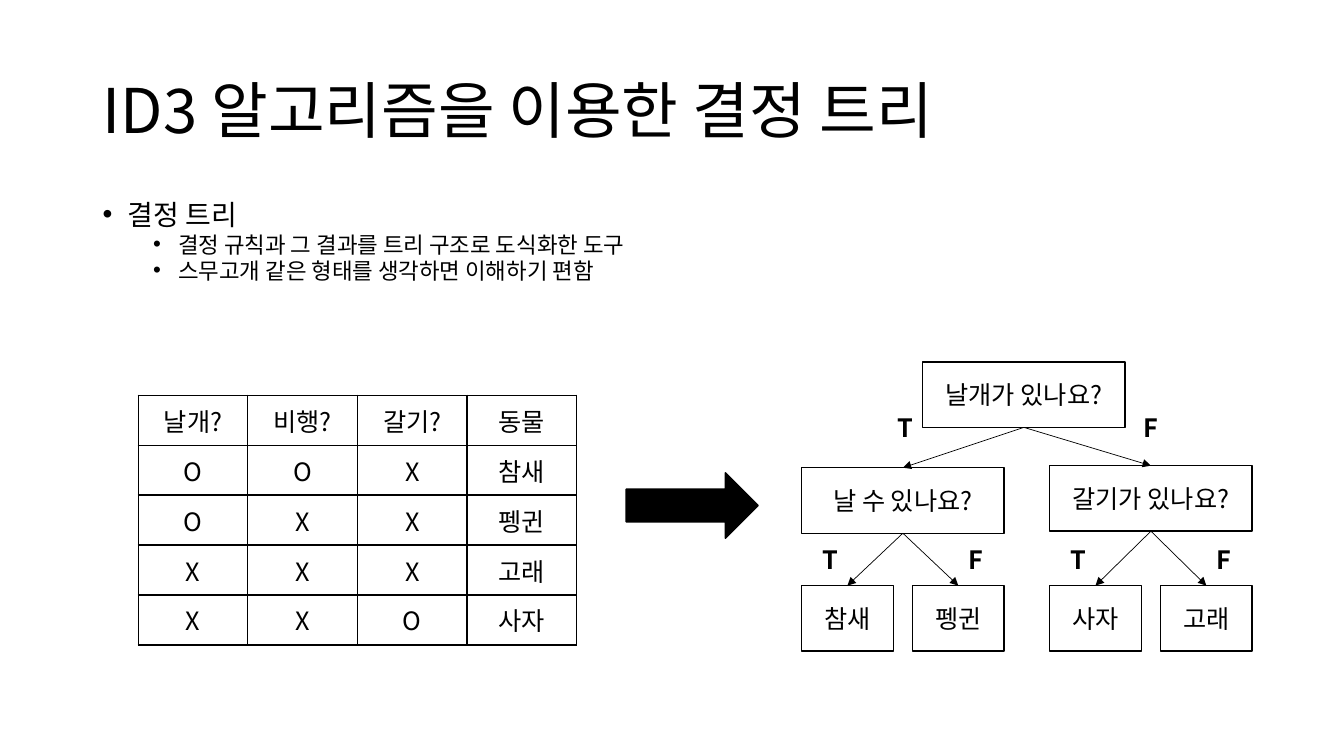
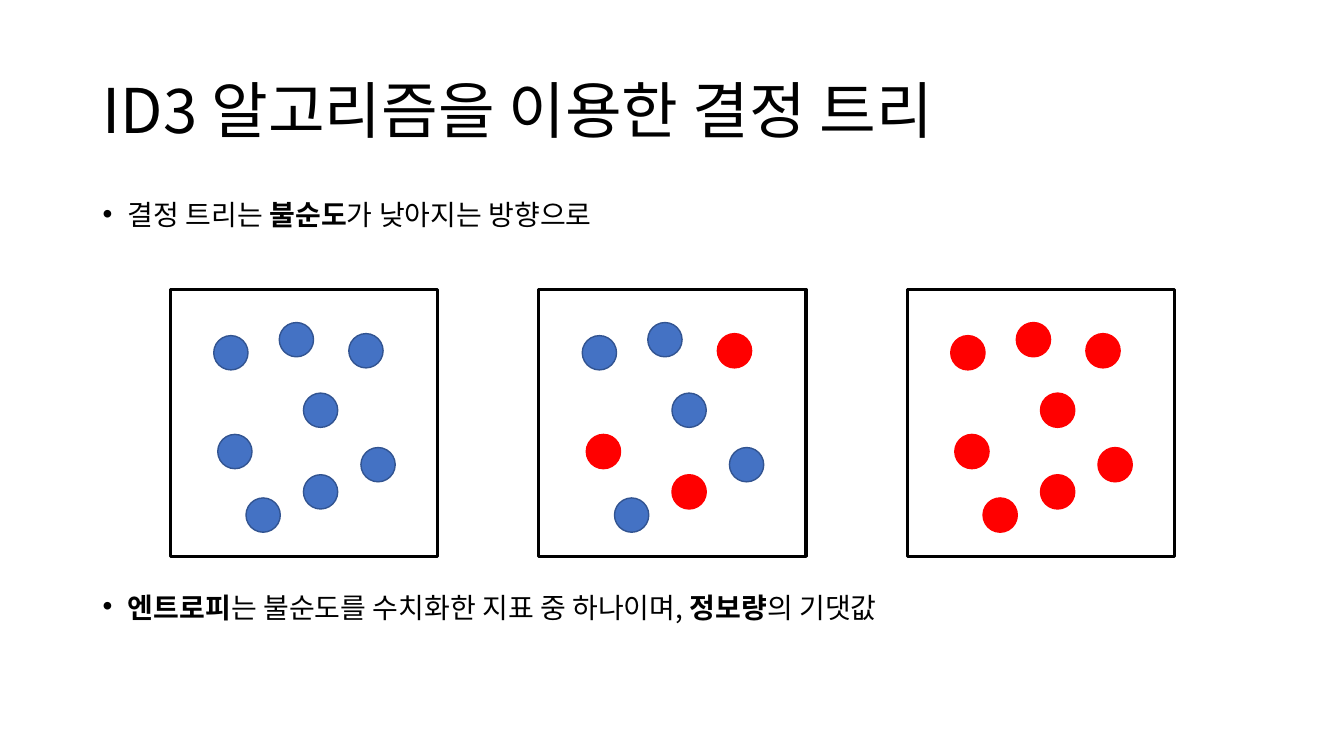
from pptx import Presentation, util as u
from pptx.dml.color import RGBColor
from pptx.enum import shapes, text
from pptx.oxml.ns import qn
from lxml import etree

# Content
TITLE = "ID3 알고리즘을 이용한 결정 트리"
# Bullets: (level, space before in points, [(text, bold), ...])
TREE_BULLETS = [
    (0, 0, [("결정 트리", False)]),
    (1, 5, [("결정 규칙과 그 결과를 트리 구조로 도식화한 도구", False)]),
    (1, 5, [("스무고개 같은 형태를 생각하면 이해하기 편함", False)]),
]
IMPURITY_BULLETS = [
    (0, 0, [("결정 트리는 ", False), ("불순도", True), ("가 낮아지는 방향으로", False)]),
    (0, 263, [("엔트로피", True), ("는 불순도를 수치화한 지표 중 하나이며, ", False),
              ("정보량", True), ("의 기댓값", False)]),
]
ANIMALS = [
    ("날개?", "비행?", "갈기?", "동물"),
    ("O", "O", "X", "참새"),
    ("O", "X", "X", "펭귄"),
    ("X", "X", "X", "고래"),
    ("X", "X", "O", "사자"),
]
ROOT = "날개가 있나요?"
# Branches: (question, left, top, answers for T and F)
BRANCHES = [
    ("날 수 있나요?", 7.95, 4.64, ("참새", "펭귄")),
    ("갈기가 있나요?", 10.41, 4.62, ("사자", "고래")),
]
# Dot places inside a panel, and one colour letter per dot for each panel
DOTS = [(0.43, 0.46), (1.77, 0.44), (1.32, 1.03), (0.47, 1.44),
        (1.32, 1.84), (1.89, 1.57), (0.75, 2.07), (1.08, 0.33)]
PANELS = ["BBBBBBBB", "BRBRRBBB", "RRRRRRRR"]

# Theme and grid
THEME = dict(font="Noto Sans CJK KR", ink="000000", title=44, label=18, bullets=(20, 16),
             dots={"B": ("4472C4", "325491"), "R": ("FF0000", "FF0000")})
W, H = 13.33, 7.5
LEFT, WIDTH = 0.92, 11.5
NODE_W, LEAF_W, NODE_H, LEAF_TOP = 2.01, 0.91, 0.65, 5.81
PANEL_LEFT, PANEL_LAST, PANEL_TOP, PANEL, DOT = 1.69, 9, 2.87, 2.65, 0.34
SHAPE = shapes.MSO_SHAPE


def inches(*values):
    return [u.Inches(v) for v in values]


def rgb(name):
    return RGBColor.from_string(name)


def write(p, words, size, bold=False, **para):
    r = p.add_run()
    r.text = words
    for key, value in dict(size=u.Pt(size), bold=bold, name=THEME["font"]).items():
        setattr(r.font, key, value)
    r.font.color.rgb = rgb(THEME["ink"])
    etree.SubElement(r.font._element, qn("a:ea"), typeface=THEME["font"])
    for key, value in para.items():
        setattr(p, key, value)


def frame(sp, **values):
    for key, value in values.items():
        setattr(sp.text_frame, key, value)
    return sp.text_frame


def add_shape(slide, kind, at, fill=None, line=THEME["ink"], weight=1, words=None):
    sp = slide.shapes.add_shape(kind, *inches(*at))
    sp.shadow.inherit = False
    if fill:
        sp.fill.solid()
        sp.fill.fore_color.rgb = rgb(fill)
    else:
        sp.fill.background()
    sp.line.color.rgb = rgb(line)
    sp.line.width = u.Pt(weight)
    if words:
        tf = frame(sp, vertical_anchor=text.MSO_ANCHOR.MIDDLE)
        write(tf.paragraphs[0], words, THEME["label"], alignment=text.PP_ALIGN.CENTER)
    return sp


def add_arrow(slide, parent, child):
    line = slide.shapes.add_connector(shapes.MSO_CONNECTOR.STRAIGHT, 0, 0, 0, 0)
    line.begin_connect(parent, 2)
    line.end_connect(child, 0)
    line.line.color.rgb = rgb(THEME["ink"])
    line.line.width = u.Pt(0.5)
    etree.SubElement(line.line._get_or_add_ln(), qn("a:tailEnd"), type="triangle")
    etree.SubElement(line._element.spPr, qn("a:effectLst"))


def add_label(slide, words, left, top):
    tf = frame(slide.shapes.add_textbox(*inches(left, top, 0.35, 0.4)), word_wrap=False)
    write(tf.paragraphs[0], words, THEME["label"], bold=True)


def add_slide(prs, bullets):
    slide = prs.slides.add_slide(prs.slide_layouts[5])
    sp = slide.shapes.title
    sp.left, sp.top, sp.width, sp.height = inches(LEFT, 0.4, WIDTH, 1.45)
    tf = frame(sp, vertical_anchor=text.MSO_ANCHOR.MIDDLE, auto_size=text.MSO_AUTO_SIZE.NONE)
    write(tf.paragraphs[0], TITLE, THEME["title"], alignment=text.PP_ALIGN.LEFT, line_spacing=0.9)

    tf = frame(slide.shapes.add_textbox(*inches(LEFT, 2, WIDTH, 4.76)), word_wrap=True)
    for i, (level, before, runs) in enumerate(bullets):
        p = tf.add_paragraph() if i else tf.paragraphs[0]
        for words, bold in runs:
            write(p, words, THEME["bullets"][level], bold, level=level,
                  line_spacing=0.72, space_before=u.Pt(before))
        pPr = p._p.get_or_add_pPr()
        pPr.set("marL", str(u.Inches(0.25 + 0.5 * level)))
        pPr.set("indent", str(u.Inches(-0.25)))
        etree.SubElement(pPr, qn("a:buFont"), typeface="Arial")
        etree.SubElement(pPr, qn("a:buChar"), char="•")
    return slide


def add_grid(slide, rows, at):
    table = slide.shapes.add_table(len(rows), len(rows[0]), *inches(*at)).table
    table.first_row = table.horz_banding = False
    for i, row in enumerate(rows):
        for j, words in enumerate(row):
            cell = table.cell(i, j)
            cell.vertical_anchor = text.MSO_ANCHOR.MIDDLE
            cell.fill.background()
            write(cell.text_frame.paragraphs[0], words, THEME["label"],
                  alignment=text.PP_ALIGN.CENTER)
            tcPr = cell._tc.get_or_add_tcPr()
            for k, side in enumerate(("lnL", "lnR", "lnT", "lnB")):
                ln = etree.Element(qn("a:" + side), w=str(u.Pt(1)))
                fill = etree.SubElement(ln, qn("a:solidFill"))
                etree.SubElement(fill, qn("a:srgbClr"), val=THEME["ink"])
                tcPr.insert(k, ln)


prs = Presentation()
prs.slide_width, prs.slide_height = inches(W, H)

# Slide 1: table to decision tree
slide = add_slide(prs, TREE_BULLETS)
add_grid(slide, ANIMALS, (1.37, 3.92, 4.35, 2.48))
add_shape(slide, SHAPE.RIGHT_ARROW, (6.21, 4.69, 1.31, 0.65), fill=THEME["ink"])
root_left = 9.15
root = add_shape(slide, SHAPE.RECTANGLE, (root_left, 3.59, NODE_W, NODE_H), words=ROOT)
add_label(slide, "T", root_left - 0.35, 4.04)
add_label(slide, "F", root_left + NODE_W + 0.08, 4.04)
for question, left, top, answers in BRANCHES:
    node = add_shape(slide, SHAPE.RECTANGLE, (left, top, NODE_W, NODE_H), words=question)
    add_arrow(slide, root, node)
    for i, (answer, mark) in enumerate(zip(answers, "TF")):
        x = left + i * (NODE_W - LEAF_W)
        leaf = add_shape(slide, SHAPE.RECTANGLE, (x, LEAF_TOP, LEAF_W, NODE_H), words=answer)
        add_arrow(slide, node, leaf)
        add_label(slide, mark, x + LEAF_W / 2 - (0 if i else 0.35), 5.35)

# Slide 2: panels of dots
slide = add_slide(prs, IMPURITY_BULLETS)
pitch = (PANEL_LAST - PANEL_LEFT) / (len(PANELS) - 1)
for i, letters in enumerate(PANELS):
    left = PANEL_LEFT + i * pitch
    add_shape(slide, SHAPE.RECTANGLE, (left, PANEL_TOP, PANEL, PANEL), weight=2.25)
    for (dx, dy), letter in zip(DOTS, letters):
        fill, line = THEME["dots"][letter]
        add_shape(slide, SHAPE.OVAL, (left + dx, PANEL_TOP + dy, DOT, DOT), fill, line)

prs.save("out.pptx")
